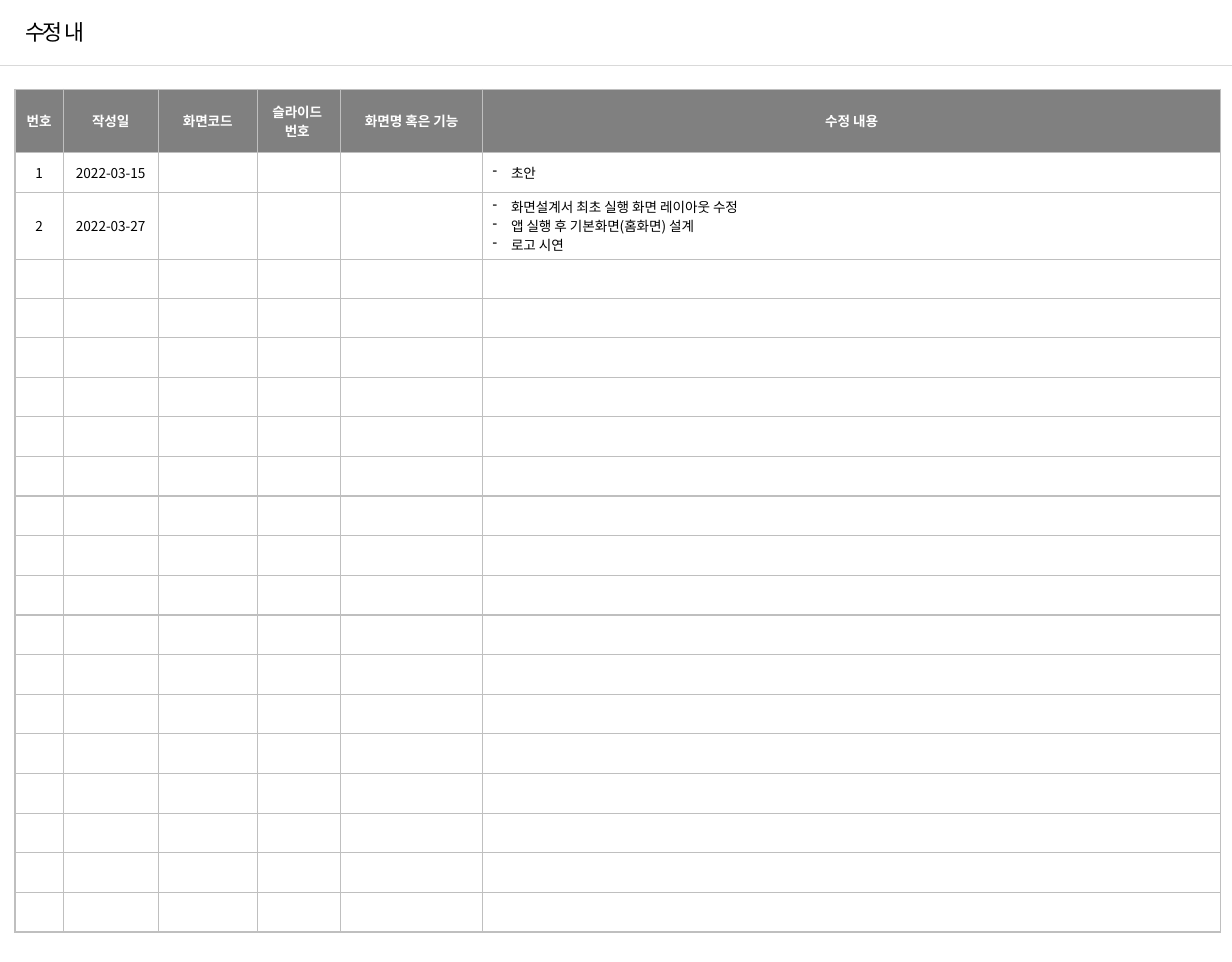
import pptx
import pptx.dml.color
import pptx.enum.shapes
import pptx.enum.text
import pptx.oxml.xmlchemy
import pptx.util
from pptx.util import Cm

BLACK = pptx.dml.color.RGBColor(0x00, 0x00, 0x00)
WHITE = pptx.dml.color.RGBColor(0xFF, 0xFF, 0xFF)
HEADER_GRAY = pptx.dml.color.RGBColor(0x80, 0x80, 0x80)
BORDER_GRAY = pptx.dml.color.RGBColor(0xBF, 0xBF, 0xBF)
RULE_GRAY = pptx.dml.color.RGBColor(0xD9, 0xD9, 0xD9)

TITLE_FONT = "Arial"
TABLE_FONT = "Noto Sans CJK KR"

COLUMN_WIDTHS = [1.25, 2.47, 2.57, 2.16, 3.7, 19.16]
ROW_HEIGHTS = [1.65] + [1.03] * 2 + [0.96] * 2 + [1.03] * 15
HEADERS = [
    ["번호"],
    ["작성일"],
    ["화면코드"],
    ["슬라이드 ", "번호 "],
    ["화면명 혹은 기능"],
    ["수정 내용"],
]
REVISIONS = [
    ("1", "2022-03-15", ["초안"]),
    ("2", "2022-03-27", [
        "화면설계서 최초 실행 화면 레이아웃 수정",
        "앱 실행 후 기본화면(홈화면) 설계",
        "로고 시연",
    ]),
]


def add_xml(parent, tag, **attributes):
    element = pptx.oxml.xmlchemy.OxmlElement(tag)
    for name, value in attributes.items():
        element.set(name, str(value))
    parent.append(element)
    return element


def write_text(paragraph, text, font_name=TABLE_FONT, size=10, color=BLACK,
               bold=False, align=None, line_spacing=None, tracking=None, bullet=None):
    paragraph.alignment = align
    if line_spacing:
        paragraph.line_spacing = pptx.util.Pt(line_spacing)
    if bullet:
        properties = paragraph._p.get_or_add_pPr()
        properties.set("marL", str(int(Cm(0.48))))
        properties.set("indent", str(-int(Cm(0.48))))
        add_xml(properties, "a:buChar", char=bullet)
    if not text:
        return
    run = paragraph.add_run()
    run.text = text
    run.font.size = pptx.util.Pt(size)
    run.font.bold = bold
    run.font.color.rgb = color
    run.font.name = font_name
    run_properties = run._r.get_or_add_rPr()
    add_xml(run_properties, "a:ea", typeface=font_name)
    if tracking:
        run_properties.set("spc", str(int(tracking * 100)))


def add_title(slide, text):
    title = slide.shapes.title
    title.left, title.top, title.width, title.height = Cm(0.4), Cm(0.36), Cm(15.2), Cm(0.94)
    frame = title.text_frame
    frame.word_wrap = True
    frame.auto_size = pptx.enum.text.MSO_AUTO_SIZE.SHAPE_TO_FIT_TEXT
    frame.vertical_anchor = pptx.enum.text.MSO_ANCHOR.TOP
    write_text(frame.paragraphs[0], text, font_name=TITLE_FONT, size=16,
               align=pptx.enum.text.PP_ALIGN.LEFT, tracking=-1.5)


def add_rule(slide, top, width):
    rule = slide.shapes.add_connector(
        pptx.enum.shapes.MSO_CONNECTOR.STRAIGHT, 0, top, width, top)
    rule.line.color.rgb = RULE_GRAY
    rule.line.width = pptx.util.Pt(0.75)
    add_xml(rule._element.spPr, "a:effectLst")


def add_borders(cell):
    properties = cell._tc.get_or_add_tcPr()
    for side in ("a:lnL", "a:lnR", "a:lnT", "a:lnB"):
        line = add_xml(properties, side, w=int(pptx.util.Pt(1)))
        add_xml(add_xml(line, "a:solidFill"), "a:srgbClr", val=BORDER_GRAY)


def fill_cell(cell, lines, fill=None, **text_format):
    add_borders(cell)
    if fill is None:
        cell.fill.background()
    else:
        cell.fill.solid()
        cell.fill.fore_color.rgb = fill
    cell.vertical_anchor = pptx.enum.text.MSO_ANCHOR.MIDDLE
    frame = cell.text_frame
    for index, text in enumerate(lines):
        paragraph = frame.add_paragraph() if index else frame.paragraphs[0]
        write_text(paragraph, text, line_spacing=14, **text_format)


def add_revision_table(slide):
    table = slide.shapes.add_table(
        len(ROW_HEIGHTS), len(COLUMN_WIDTHS), Cm(0.39), Cm(2.32),
        Cm(sum(COLUMN_WIDTHS)), Cm(sum(ROW_HEIGHTS))).table
    table.first_row = False
    table.horz_banding = False
    for column, width in zip(table.columns, COLUMN_WIDTHS):
        column.width = Cm(width)
    for row, height in zip(table.rows, ROW_HEIGHTS):
        row.height = Cm(height)

    center = pptx.enum.text.PP_ALIGN.CENTER
    for column, lines in enumerate(HEADERS):
        fill_cell(table.cell(0, column), lines, fill=HEADER_GRAY,
                  color=WHITE, bold=True, align=center)
    for row in range(1, len(ROW_HEIGHTS)):
        number, date, changes = REVISIONS[row - 1] if row <= len(REVISIONS) else ("", "", [""])
        for column, text in enumerate([number, date, "", "", ""]):
            fill_cell(table.cell(row, column), [text], align=center)
        fill_cell(table.cell(row, 5), changes, bullet="-" if changes[0] else None)


def main():
    presentation = pptx.Presentation()
    presentation.slide_width = Cm(32)
    presentation.slide_height = Cm(25)
    slide = presentation.slides.add_slide(presentation.slide_layouts[5])
    add_title(slide, "수정 내")
    add_rule(slide, Cm(1.7), presentation.slide_width)
    add_revision_table(slide)
    presentation.save("out.pptx")


if __name__ == "__main__":
    main()
